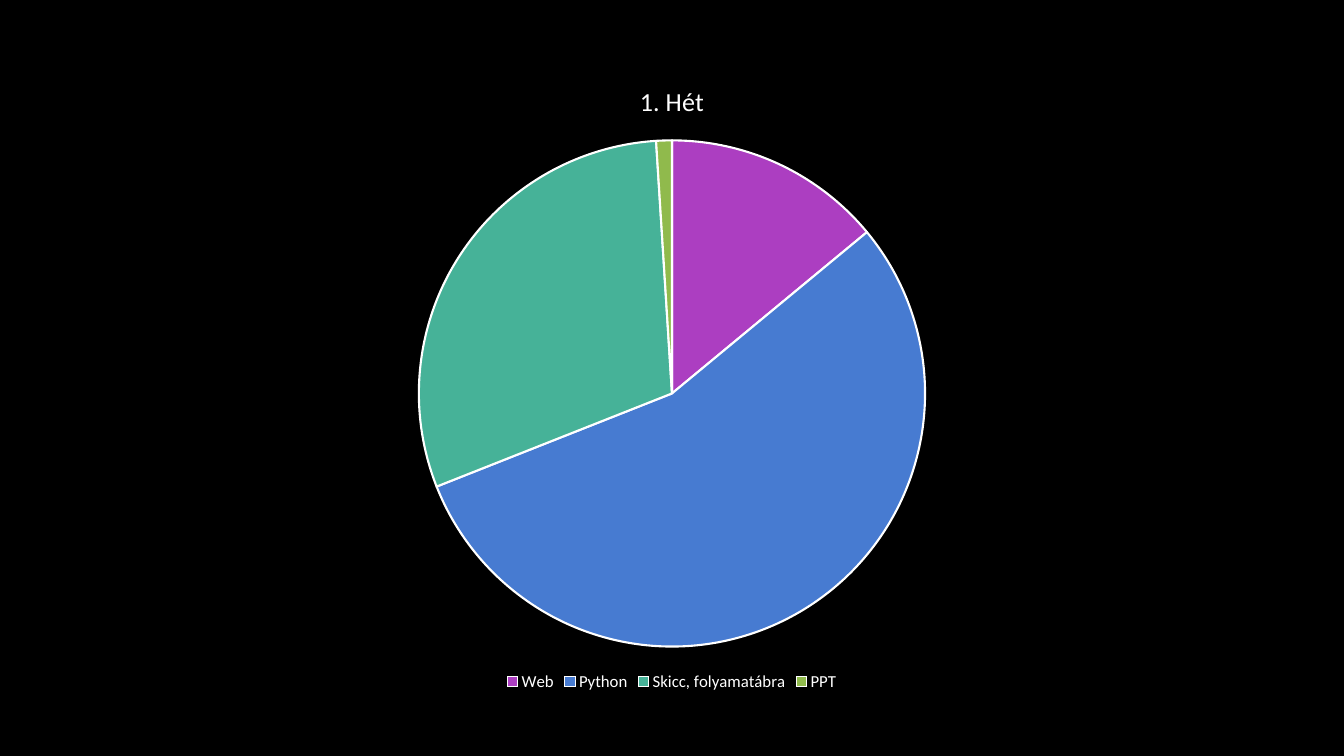
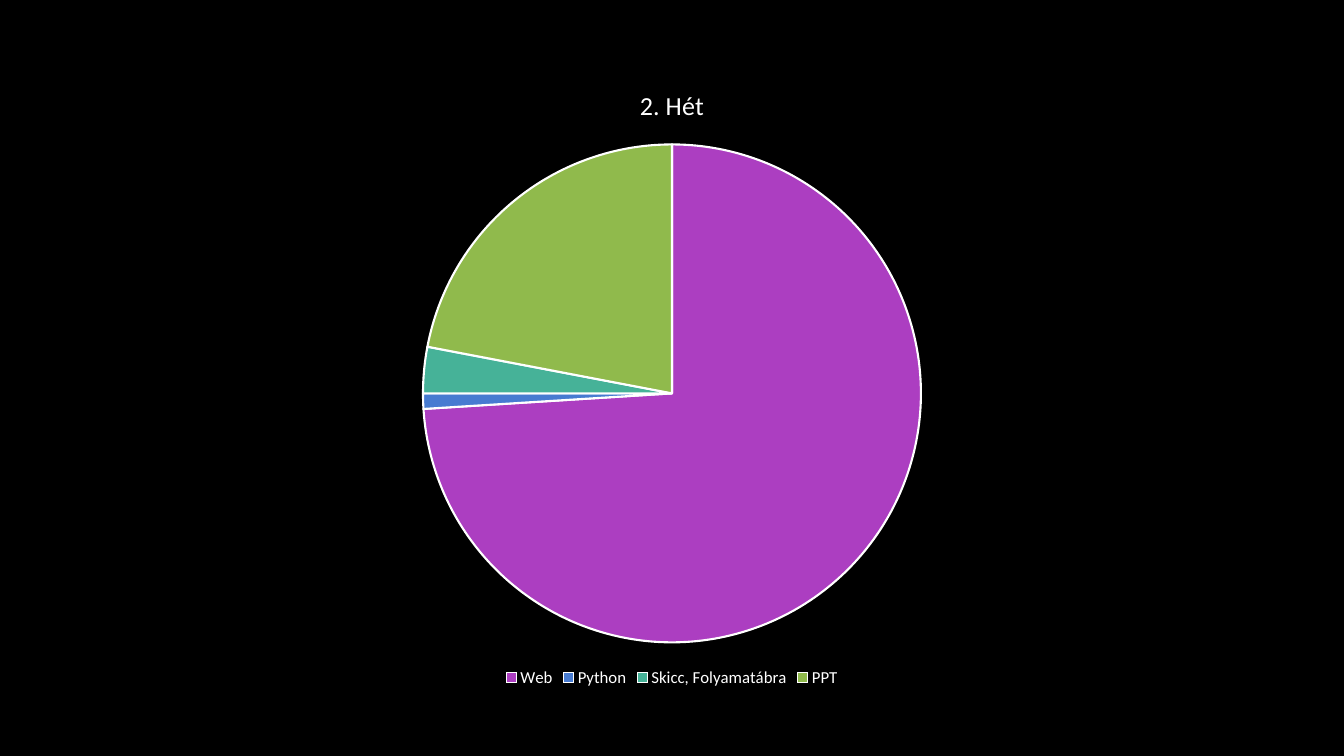
from dataclasses import dataclass

from pptx import Presentation
from pptx import util as u
from pptx.chart import data as chart_data
from pptx.dml import color
from pptx.enum import chart as chart_enum


@dataclass(frozen=True)
class Theme:
    """Colours, font and type sizes shared by all slides."""

    background: str = "000000"
    ink: str = "FFFFFF"
    slices: tuple = ("AC3EC1", "477BD1", "46B298", "90BA4C")
    font: str = "Calibri"
    title_size: float = 18.6
    legend_size: float = 12
    body_size: float = 10
    border: float = 1.5
    slide_width: float = 960
    slide_height: float = 540


class DeckBuilder:
    """Holds the style and the current slide."""

    def __init__(self, theme):
        """Start an empty widescreen deck."""
        self.theme = theme
        self.deck = Presentation()
        self.deck.slide_width = u.Pt(theme.slide_width)
        self.deck.slide_height = u.Pt(theme.slide_height)
        self.slide = None

    def paint(self, fill, value):
        """Give a fill one solid colour."""
        fill.solid()
        fill.fore_color.rgb = color.RGBColor.from_string(value)

    def style_font(self, font, size):
        """Apply the theme font in the given size."""
        font.name = self.theme.font
        font.size = u.Pt(size)
        font.bold = False
        font.color.rgb = color.RGBColor.from_string(self.theme.ink)

    def add_slide(self):
        """Add a blank slide on the theme background."""
        self.slide = self.deck.slides.add_slide(self.deck.slide_layouts[6])
        self.paint(self.slide.background.fill, self.theme.background)

    def add_pie(self, title, shares, width):
        """Add a titled pie chart, three by two, centred on the slide."""
        theme = self.theme
        height = width * 2 / 3
        table = chart_data.CategoryChartData()
        table.categories = list(shares)
        table.add_series("Series 1", list(shares.values()))
        chart = self.slide.shapes.add_chart(
            chart_enum.XL_CHART_TYPE.PIE,
            u.Pt((theme.slide_width - width) / 2),
            u.Pt((theme.slide_height - height) / 2),
            u.Pt(width),
            u.Pt(height),
            table,
        ).chart
        self.style_font(chart.font, theme.body_size)
        self.add_chart_title(chart, title)
        self.add_legend(chart)
        self.colour_slices(chart.plots[0])

    def add_chart_title(self, chart, title):
        """Write the title above the pie."""
        chart.has_title = True
        chart.chart_title.include_in_layout = False
        para = chart.chart_title.text_frame.paragraphs[0]
        span = para.add_run()
        span.text = title
        self.style_font(span.font, self.theme.title_size)

    def add_legend(self, chart):
        """Place the legend below the pie."""
        chart.has_legend = True
        chart.legend.position = chart_enum.XL_LEGEND_POSITION.BOTTOM
        chart.legend.include_in_layout = False
        self.style_font(chart.legend.font, self.theme.legend_size)

    def colour_slices(self, plot):
        """Fill and outline every slice."""
        plot.vary_by_categories = True
        for index, value in enumerate(self.theme.slices):
            look = plot.series[0].points[index].format
            self.paint(look.fill, value)
            self.paint(look.line.fill, self.theme.ink)
            look.line.width = u.Pt(self.theme.border)


def main():
    """Build one pie slide per week."""
    weeks = (
        ("1. Hét", {"Web": 14, "Python": 55, "Skicc, folyamatábra": 30, "PPT": 1}, 681),
        ("2. Hét", {"Web": 74, "Python": 1, "Skicc, Folyamatábra": 3, "PPT": 22}, 672),
    )
    builder = DeckBuilder(Theme())
    for title, shares, width in weeks:
        builder.add_slide()
        builder.add_pie(title, shares, width)
    builder.deck.save("out.pptx")


if __name__ == "__main__":
    main()
